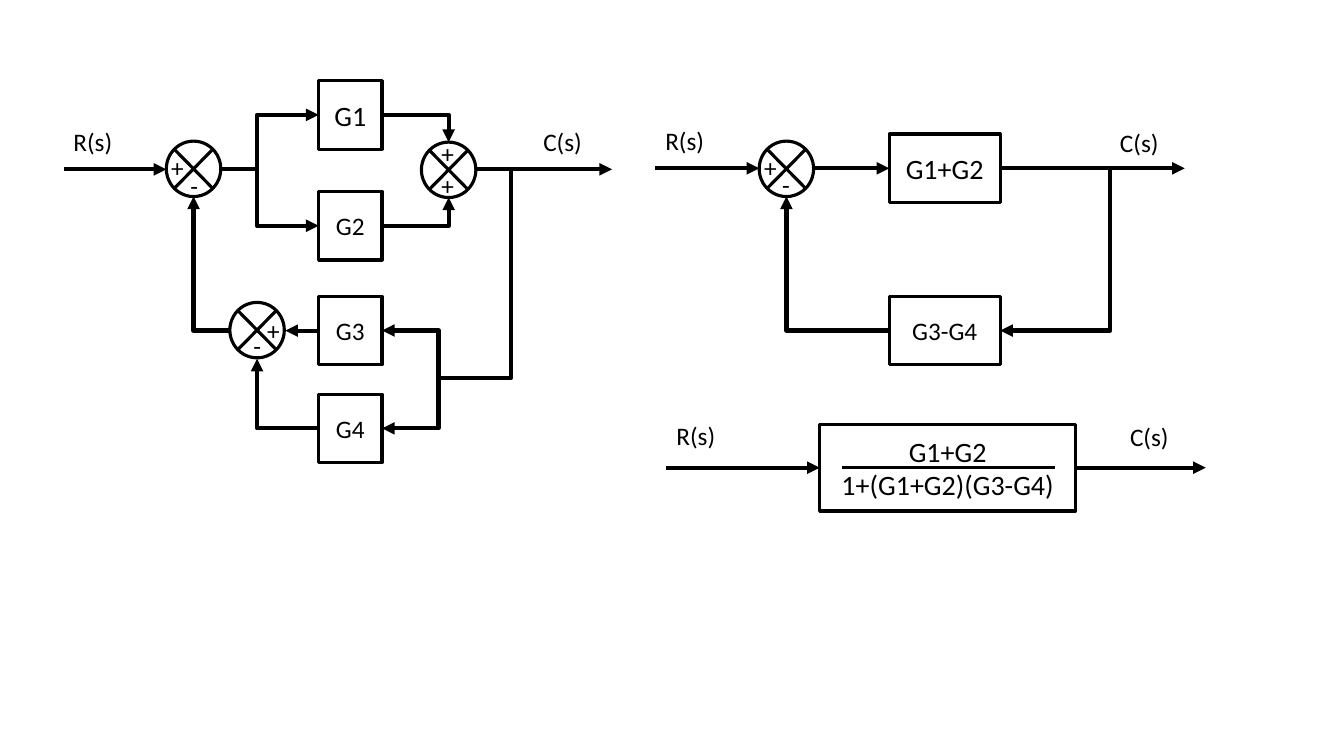
from dataclasses import dataclass

from lxml.etree import SubElement
from pptx import Presentation
from pptx.dml.color import RGBColor
from pptx.enum.shapes import MSO_AUTO_SHAPE_TYPE as Preset, MSO_CONNECTOR as Link
from pptx.enum.text import MSO_ANCHOR as Anchor, MSO_AUTO_SIZE as Fit, PP_ALIGN as Align
from pptx.oxml.ns import qn
from pptx.util import Inches, Pt

COLORS = {"ink": "000000"}
INK = RGBColor.from_string(COLORS["ink"])
BLOCK_HEIGHT = 0.68
JUNCTION_WIDTH, JUNCTION_HEIGHT = 0.54, 0.55
LEFT, RIGHT = 1, 3  # connection sites of a rectangle


@dataclass
class Block:
    name: str
    left: float
    middle: float
    width: float
    size: int = 18
    height: float = BLOCK_HEIGHT


@dataclass
class Label:
    text: str
    left: float
    top: float
    wrap: bool = False
    align: Align = Align.LEFT


@dataclass
class Wire:
    start: tuple[float, float]
    end: tuple[float, float]
    arrow: str = "tailEnd"
    bend: str = ""  # bentConnector2 turns once, bentConnector3 twice
    turn: float = 0.5  # share of the width before the first turn
    leaves: tuple[str, int] | None = None
    enters: tuple[str, int] | None = None
    weight: float = 3


FORMULA = "G1+G2\n1+(G1+G2)(G3-G4)"
CORNER, STEP = "bentConnector2", "bentConnector3"

BLOCKS = [
    Block("G1", 3.16, 1.14, 0.63, 20),
    Block("G2", 3.16, 2.24, 0.63),
    Block("G3", 3.16, 3.28, 0.63),
    Block("G4", 3.16, 4.25, 0.63),
    Block("G1+G2", 8.82, 1.67, 1.1, 20),
    Block("G3-G4", 8.82, 3.28, 1.1),
    Block(FORMULA, 8.13, 4.64, 2.54, 20, 0.86),
]

JUNCTIONS = [(1.65, 1.4), (4.18, 1.41), (2.28, 3), (7.53, 1.4)]

WIRES = [
    # Full diagram: forward path
    Wire((0.63, 1.68), (1.65, 1.68)),
    Wire((2.19, 1.68), (3.16, 1.14), bend=STEP, turn=0.37),
    Wire((2.19, 1.68), (3.16, 2.24), bend=STEP, turn=0.37),
    Wire((3.79, 1.14), (4.45, 1.41), bend=CORNER),
    Wire((3.79, 2.24), (4.45, 1.96), bend=CORNER),
    Wire((4.72, 1.68), (6.07, 1.68)),
    # Full diagram: feedback path
    Wire((4.91, 3.75), (5.07, 1.68), arrow="", bend=CORNER),
    Wire((4.91, 3.75), (3.79, 3.28), bend=STEP),
    Wire((4.91, 3.75), (3.79, 4.25), bend=STEP),
    Wire((3.16, 3.28), (2.83, 3.28), leaves=("G3", LEFT)),
    Wire((3.16, 4.25), (2.55, 3.56), bend=CORNER),
    Wire((2.28, 3.28), (1.92, 1.95), bend=CORNER),
    # Reduced loop
    Wire((6.5, 1.67), (7.53, 1.67)),
    Wire((8.07, 1.67), (8.82, 1.67), enters=("G1+G2", LEFT)),
    Wire((9.92, 1.67), (11.75, 1.67), leaves=("G1+G2", RIGHT)),
    Wire((9.92, 3.28), (11.01, 1.67), arrow="headEnd", bend=CORNER),
    Wire((8.82, 3.28), (7.8, 1.95), bend=CORNER),
    # Transfer function, with its fraction bar
    Wire((6.61, 4.64), (8.13, 4.64), enters=(FORMULA, LEFT)),
    Wire((10.67, 4.64), (11.96, 4.64), leaves=(FORMULA, RIGHT)),
    Wire((8.35, 4.64), (10.46, 4.64), arrow="", weight=2.5),
]

LABELS = [
    Label("R(s)", 0.63, 1.2),
    Label("C(s)", 5.29, 1.2),
    Label("R(s)", 6.5, 1.19),
    Label("C(s)", 11.01, 1.21),
    Label("R(s)", 6.61, 4.12),
    Label("C(s)", 11.11, 4.13),
    Label("+", 1.6, 1.46, True),
    Label("-", 1.79, 1.64, True),
    Label("+", 4.28, 1.64, True),
    Label("+", 4.28, 1.32, True),
    Label("+", 2.55, 3.08, True),
    Label("-", 2.39, 3.23, True, Align.CENTER),
    Label("+", 7.48, 1.46, True),
    Label("-", 7.66, 1.63, True),
]


def write(frame, text: str, size: int, align: Align) -> None:
    frame.text = text
    for para in frame.paragraphs:
        para.alignment = align
        for span in para.runs:
            for key, value in {"name": "Calibri", "size": Pt(size)}.items():
                setattr(span.font, key, value)
            span.font.color.rgb = INK


def add_outline(page, preset: Preset, left: float, top: float, width: float, height: float):
    shape = page.shapes.add_shape(preset, *map(Inches, (left, top, width, height)))
    shape.shadow.inherit = False
    shape.fill.background()
    shape.line.color.rgb = INK
    shape.line.width = Pt(2.25)
    return shape


def add_block(page, block: Block):
    top = block.middle - block.height / 2
    box = add_outline(page, Preset.RECTANGLE, block.left, top, block.width, block.height)
    box.text_frame.vertical_anchor = Anchor.MIDDLE
    write(box.text_frame, block.name, block.size, Align.CENTER)
    return box


def add_wire(page, wire: Wire, boxes: dict) -> None:
    kind = Link.ELBOW if wire.bend else Link.STRAIGHT
    link = page.shapes.add_connector(kind, *map(Inches, wire.start + wire.end))
    if wire.leaves:
        name, site = wire.leaves
        link.begin_connect(boxes[name], site)
    if wire.enters:
        name, site = wire.enters
        link.end_connect(boxes[name], site)
    link.line.color.rgb = INK
    link.line.width = Pt(wire.weight)
    outline = link.element.spPr
    if wire.bend:
        geometry = outline.find(qn("a:prstGeom"))
        geometry.set("prst", wire.bend)
        if wire.bend == STEP:
            guide = SubElement(geometry.find(qn("a:avLst")), qn("a:gd"))
            guide.set("name", "adj1")
            guide.set("fmla", f"val {round(wire.turn * 100000)}")
    if wire.arrow:
        SubElement(outline.find(qn("a:ln")), qn(f"a:{wire.arrow}")).set("type", "triangle")
    SubElement(outline, qn("a:effectLst"))


def add_label(page, label: Label) -> None:
    width = 0.32 if label.wrap else 0.59
    box = page.shapes.add_textbox(*map(Inches, (label.left, label.top, width, 0.4)))
    for key, value in {"word_wrap": label.wrap, "auto_size": Fit.SHAPE_TO_FIT_TEXT}.items():
        setattr(box.text_frame, key, value)
    write(box.text_frame, label.text, 18, label.align)


def main() -> None:
    deck = Presentation()
    deck.slide_width, deck.slide_height = Inches(13.33), Inches(7.5)
    page = deck.slides.add_slide(deck.slide_layouts[6])

    boxes = {block.name: add_block(page, block) for block in BLOCKS}
    for left, top in JUNCTIONS:
        add_outline(page, Preset.FLOWCHART_SUMMING_JUNCTION, left, top,
                    JUNCTION_WIDTH, JUNCTION_HEIGHT)
    for wire in WIRES:
        add_wire(page, wire, boxes)
    for label in LABELS:
        add_label(page, label)

    deck.save("out.pptx")


if __name__ == "__main__":
    main()
